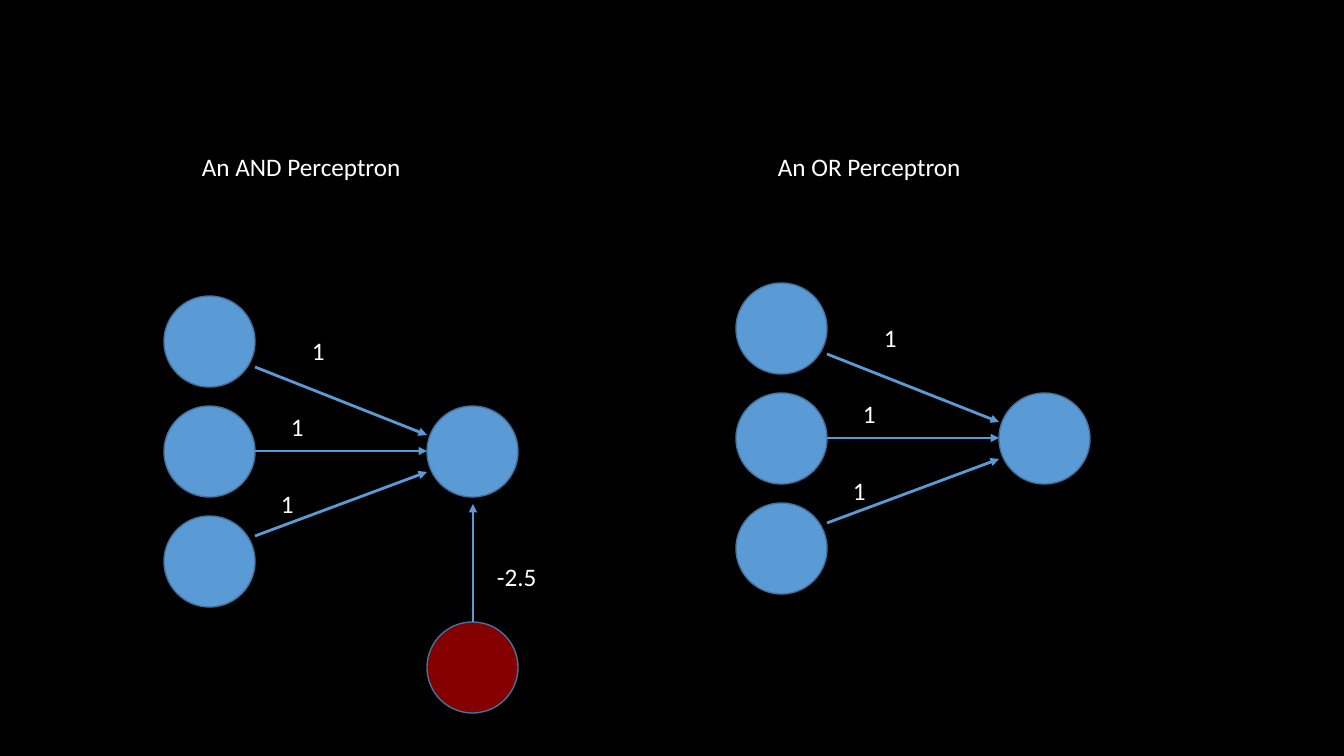
from lxml.etree import SubElement
from pptx import Presentation
from pptx.dml.color import RGBColor
from pptx.enum.shapes import MSO_CONNECTOR as CONNECTOR, MSO_SHAPE as SHAPE
from pptx.enum.text import MSO_AUTO_SIZE as AUTO_SIZE
from pptx.oxml.ns import qn
from pptx.util import Pt

PX = 914400 / 100.8
DIAMETER = 91
PITCH = 110
OUTPUT_X = 263
BLUE, OUTLINE, RED, WHITE, BLACK = "5B9BD5", "43739E", "C00000", "FFFFFF", "000000"


def emu(*lengths):
    return [round(length * PX) for length in lengths]


def color(hex_string):
    return RGBColor.from_string(hex_string)


presentation = Presentation()
presentation.slide_width, presentation.slide_height = emu(1344, 756)
slide = presentation.slides.add_slide(presentation.slide_layouts[6])
slide.background.fill.solid()
slide.background.fill.fore_color.rgb = color(BLACK)

neurons = []
arrows = []
labels = [("An AND Perceptron", 192, 146, 222), ("An OR Perceptron", 768, 146, 205)]

for left, top in [(164, 296), (736, 283)]:
    for row in range(3):
        neurons.append((left, top + row * PITCH, BLUE))
    neurons.append((left + OUTPUT_X, top + PITCH, BLUE))
    for start_y, end_y in [(71, 139), (155, 155), (240, 176)]:
        arrows.append((left + DIAMETER, top + start_y, left + OUTPUT_X, top + end_y))
    for label_x, label_y in [(138, 34), (117, 110), (107, 187)]:
        labels.append(("1", left + label_x, top + label_y, 33))

neurons.append((427, 622, RED))
arrows.append((473, 622, 473, 504))
labels.append(("-2.5", 487, 556, 60))

for left, top, fill_color in neurons:
    neuron = slide.shapes.add_shape(SHAPE.OVAL, *emu(left, top, DIAMETER, DIAMETER))
    neuron.shadow.inherit = False
    neuron.fill.solid()
    neuron.fill.fore_color.rgb = color(fill_color)
    neuron.line.color.rgb = color(OUTLINE)
    neuron.line.width = Pt(1)
    if fill_color == RED:
        fill = neuron._element.spPr.find(qn("a:solidFill"))
        SubElement(fill[0], qn("a:alpha"), val="69000")

for ends in arrows:
    arrow = slide.shapes.add_connector(CONNECTOR.STRAIGHT, *emu(*ends))
    arrow.line.color.rgb = color(BLUE)
    arrow.line.width = Pt(2)
    SubElement(arrow.line._get_or_add_ln(), qn("a:tailEnd"), type="triangle")
    SubElement(arrow._element.spPr, qn("a:effectLst"))

for text, left, top, width in labels:
    label = slide.shapes.add_textbox(*emu(left, top, width, 40))
    text_frame = label.text_frame
    text_frame.word_wrap = False
    text_frame.auto_size = AUTO_SIZE.SHAPE_TO_FIT_TEXT
    text_frame.text = text
    font = text_frame.paragraphs[0].runs[0].font
    font.name = "Calibri"
    font.size = Pt(18)
    font.color.rgb = color(WHITE)

presentation.save("out.pptx")
